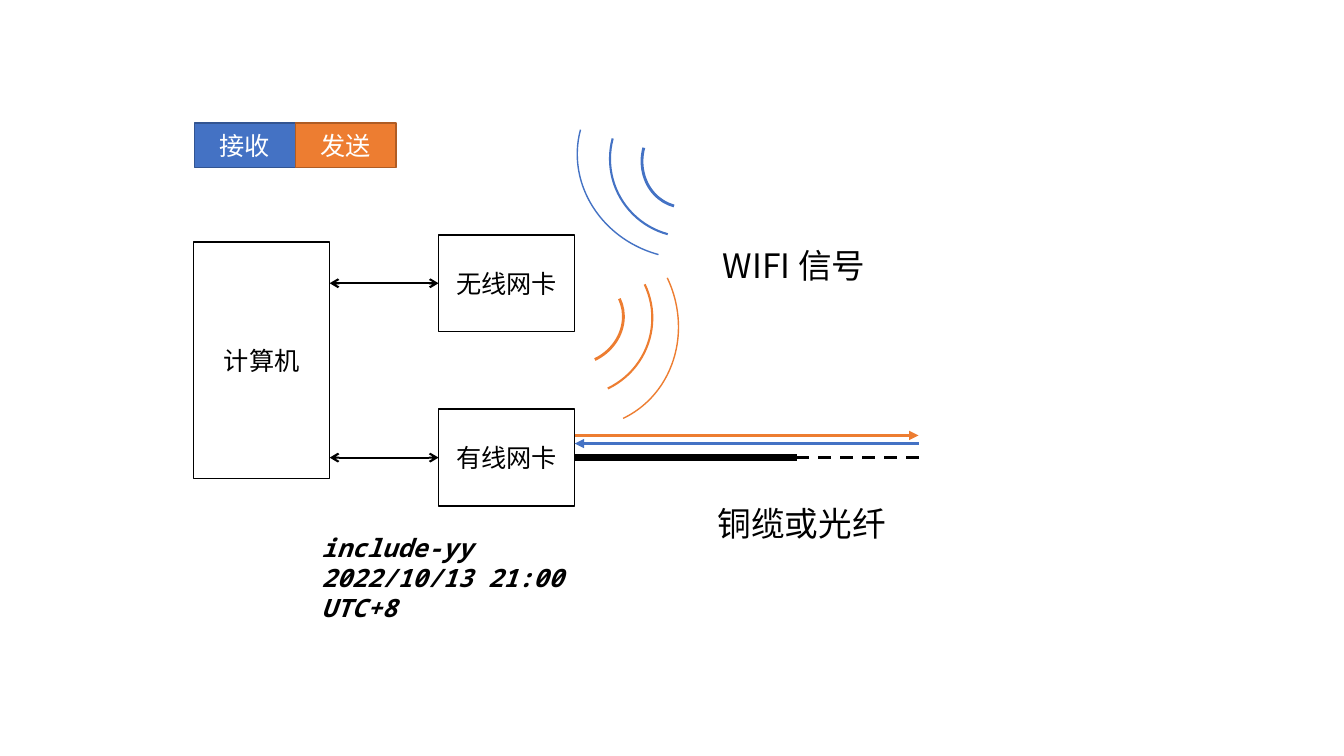
from lxml import etree
from pptx import Presentation
from pptx.dml.color import RGBColor
from pptx.enum.dml import MSO_LINE
from pptx.enum.shapes import MSO_CONNECTOR, MSO_SHAPE
from pptx.enum.text import MSO_ANCHOR, MSO_AUTO_SIZE, PP_ALIGN
from pptx.oxml.ns import qn
from pptx.util import Inches, Pt

RECTANGLE, ARC = MSO_SHAPE.RECTANGLE, MSO_SHAPE.ARC
STRAIGHT, DASH = MSO_CONNECTOR.STRAIGHT, MSO_LINE.DASH
MIDDLE, CENTER = MSO_ANCHOR.MIDDLE, PP_ALIGN.CENTER
GROW = MSO_AUTO_SIZE.SHAPE_TO_FIT_TEXT
LEFT_SIDE, RIGHT_SIDE = 1, 3

SANS, MONO = "Noto Sans CJK SC", "Noto Sans Mono"
COLORS = {name: RGBColor.from_string(value) for name, value in {
    "black": "000000", "white": "FFFFFF",
    "receive": "4472C4", "receive_edge": "325491",
    "send": "ED7D31", "send_edge": "AF5C24",
}.items()}


def write(shape, text, size, color, font=SANS, emphasis=False):
    shape.text_frame.text = text
    for paragraph in shape.text_frame.paragraphs:
        for span in paragraph.runs:
            span.font.name = font
            span.font.size = Pt(size)
            span.font.color.rgb = COLORS[color]
            if emphasis:
                span.font.bold = span.font.italic = True
            east_asian = etree.Element(qn("a:ea"), typeface=font)
            span.font._element.find(qn("a:latin")).addnext(east_asian)


def add_line(start, end, color, width, head=None, tail=None):
    line = page.shapes.add_connector(
        STRAIGHT, *[Inches(value) for value in (*start, *end)])
    line.line.color.rgb = COLORS[color]
    line.line.width = Pt(width)
    for tag, arrow in (("a:headEnd", head), ("a:tailEnd", tail)):
        if arrow:
            etree.SubElement(line.line._get_or_add_ln(), qn(tag), type=arrow)
    etree.SubElement(line._element.spPr, qn("a:effectLst"))
    return line


deck = Presentation()
deck.slide_width, deck.slide_height = Inches(13.33), Inches(7.5)
page = deck.slides.add_slide(deck.slide_layouts[6])

# Devices and colour legend
boxes = {}
for label, left, top, width, height, fill, edge, ink in (
    ("计算机", 1.92, 2.4, 1.35, 2.35, "white", "black", "black"),
    ("无线网卡", 4.35, 2.33, 1.35, 0.96, "white", "black", "black"),
    ("有线网卡", 4.35, 4.06, 1.35, 0.96, "white", "black", "black"),
    ("接收", 1.93, 1.22, 1, 0.44, "receive", "receive_edge", "white"),
    ("发送", 2.93, 1.22, 1, 0.44, "send", "send_edge", "white"),
):
    box = page.shapes.add_shape(
        RECTANGLE, Inches(left), Inches(top), Inches(width), Inches(height))
    box.shadow.inherit = False
    box.fill.solid()
    box.fill.fore_color.rgb = COLORS[fill]
    box.line.color.rgb = COLORS[edge]
    box.line.width = Pt(1)
    write(box, label, 18, ink)
    box.text_frame.vertical_anchor = MIDDLE
    box.text_frame.paragraphs[0].alignment = CENTER
    boxes[label] = box

# Links between the computer and its cards
for card, y in (("无线网卡", 2.81), ("有线网卡", 4.54)):
    link = add_line((3.27, y), (4.35, y), "black", 1.5, "arrow", "arrow")
    link.end_connect(boxes[card], LEFT_SIDE)

# Cable with its dashed continuation, and traffic in both directions
cable = add_line((5.7, 4.54), (7.9, 4.54), "black", 5)
cable.begin_connect(boxes["有线网卡"], RIGHT_SIDE)
add_line((7.9, 4.54), (9.12, 4.54), "black", 2.25).line.dash_style = DASH
add_line((5.7, 4.32), (9.11, 4.32), "send", 2.25, tail="triangle")
add_line((9.11, 4.4), (5.7, 4.4), "receive", 2.25, tail="triangle")

# Radio waves: three arcs per direction, thinner as they grow
wave_sizes = ((0.88, 0.96, 2), (1.55, 1.55, 1.5), (2.14, 1.99, 1))
for color, rotation, corners in (
    ("receive", 195.1, ((6.37, 1.1), (6.05, 0.8), (5.72, 0.57))),
    ("send", 64.5, ((5.27, 2.69), (4.92, 2.38), (4.65, 2.19))),
):
    for (left, top), (width, height, weight) in zip(corners, wave_sizes):
        wave = page.shapes.add_shape(
            ARC, Inches(left), Inches(top), Inches(width), Inches(height))
        wave.shadow.inherit = False
        wave.rotation = rotation
        wave.fill.background()
        wave.line.color.rgb = COLORS[color]
        wave.line.width = Pt(weight)

# Captions and signature
for text, left, top, width, height, size, font, emphasis in (
    ("WIFI 信号", 7.07, 2.38, 1.66, 0.5, 24, SANS, False),
    ("铜缆或光纤", 7.02, 4.94, 2.13, 0.91, 24, SANS, False),
    ("include-yy\n2022/10/13 21:00 UTC+8", 3.09, 5.23, 3.47, 0.71, 18, MONO, True),
):
    caption = page.shapes.add_textbox(
        Inches(left), Inches(top), Inches(width), Inches(height))
    caption.text_frame.word_wrap = True
    caption.text_frame.auto_size = GROW
    write(caption, text, size, "black", font, emphasis)

deck.save("out.pptx")
